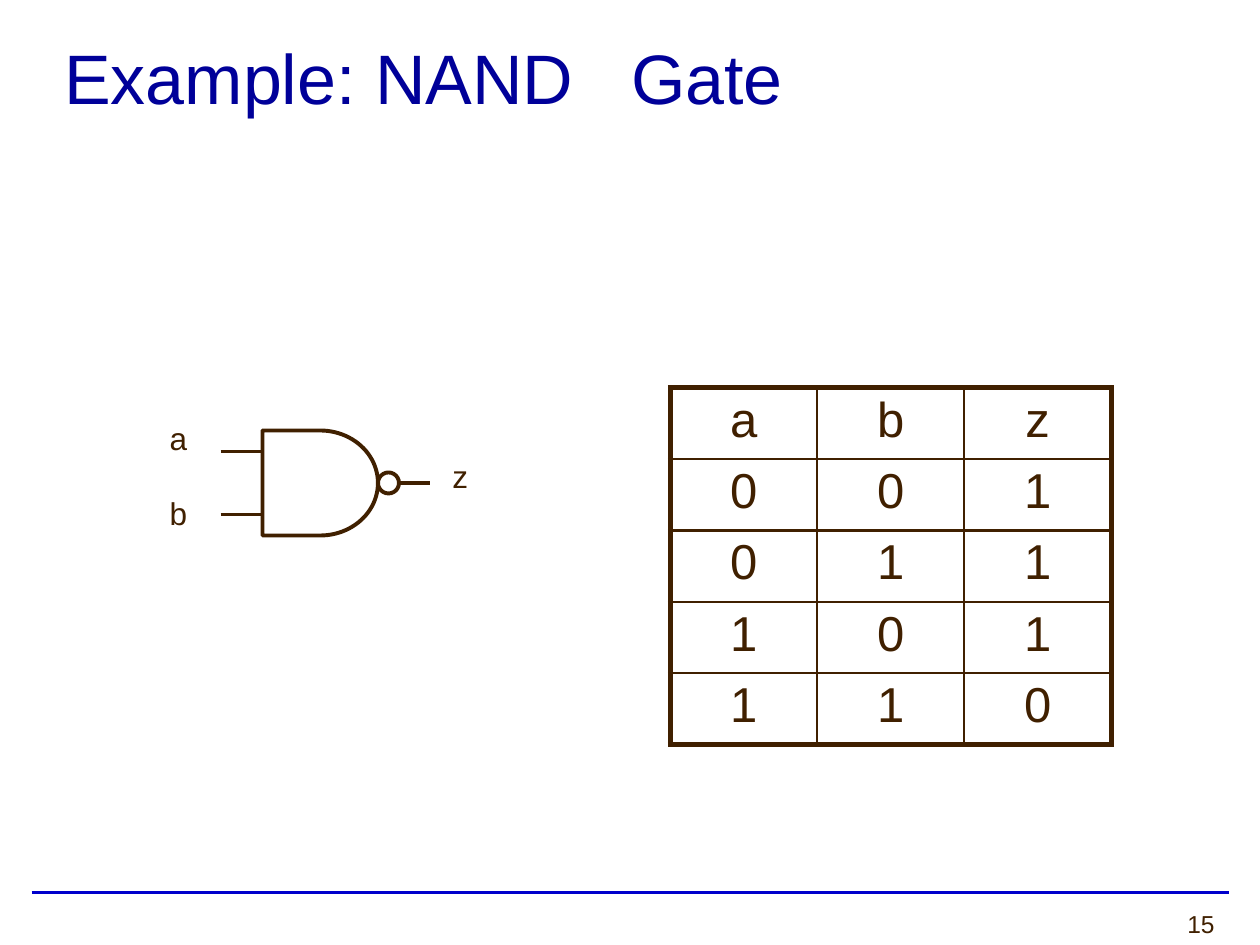
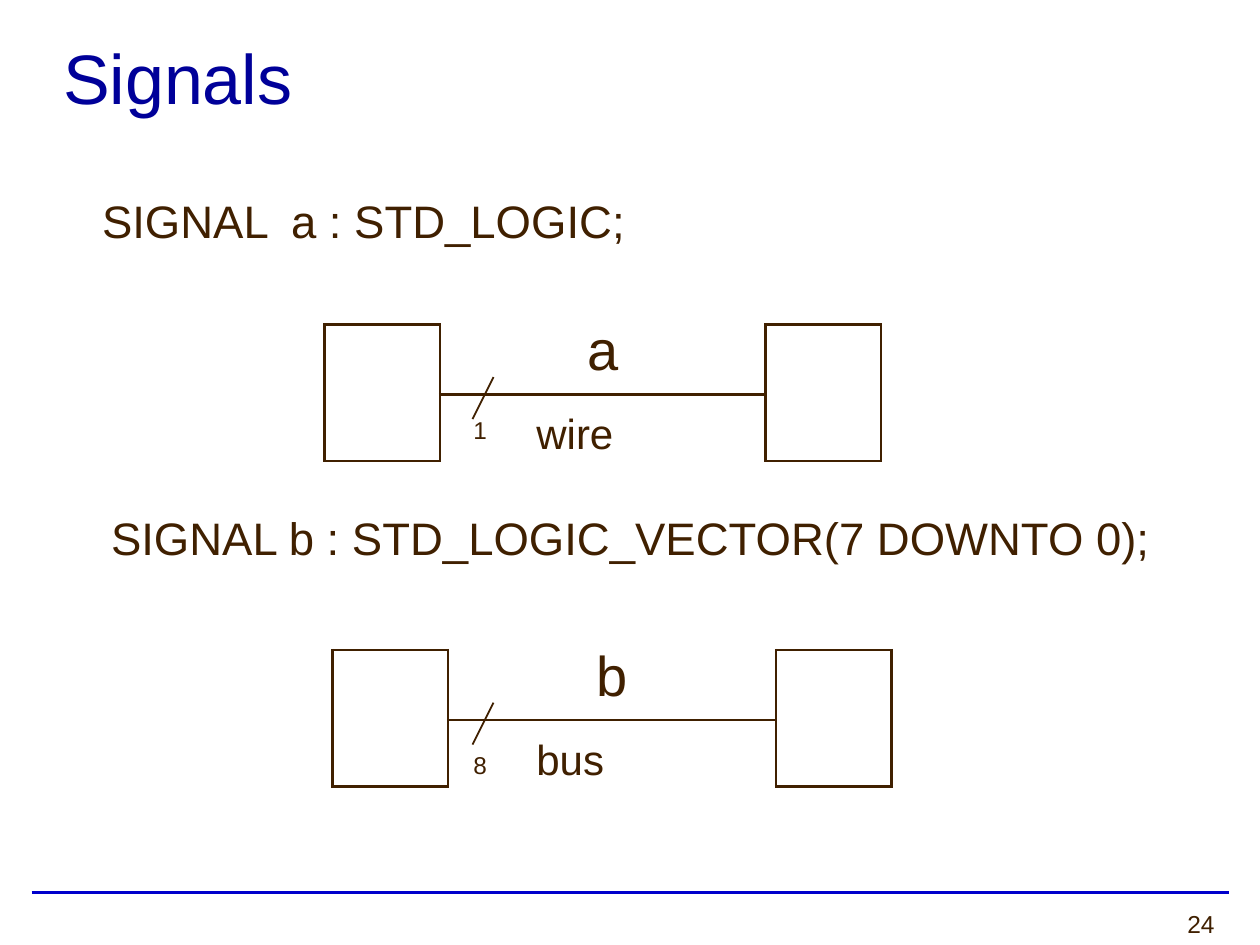
from dataclasses import dataclass

from lxml import etree
from pptx import Presentation
from pptx.dml.color import RGBColor
from pptx.enum import shapes, text
from pptx.oxml import ns
from pptx.util import Pt


@dataclass(frozen=True)
class Theme:
    font: str = "Arial"
    title_color: str = "000099"
    ink: str = "402000"
    rule_color: str = "0000CC"
    title_size: float = 40
    signal_size: float = 32
    truth_size: float = 28
    code_size: float = 26
    kind_size: float = 24
    pin_size: float = 18
    page_size: float = 14
    thick: float = 3
    stroke: float = 2.25
    thin: float = 1.5
    hair: float = 1


THEME = Theme()


# Shared helpers
def add_run(paragraph, words, size, color=THEME.ink, baseline=0):
    run = paragraph.add_run()
    run.text = words
    run.font.name = THEME.font
    run.font.size = Pt(size)
    run.font.color.rgb = RGBColor.from_string(color)
    if baseline:
        run.font._element.set("baseline", str(baseline * 1000))


def set_tab(paragraph, position, indent=0.7):
    properties = paragraph._p.get_or_add_pPr()
    properties.set("marL", str(Pt(indent)))
    properties.set("indent", "0")
    tabs = etree.SubElement(properties, ns.qn("a:tabLst"))
    etree.SubElement(tabs, ns.qn("a:tab"), pos=str(Pt(position)), algn="l")


def prepare_frame(frame, top_margin=0.7):
    frame.word_wrap = True
    frame.auto_size = text.MSO_AUTO_SIZE.NONE
    frame.vertical_anchor = text.MSO_ANCHOR.TOP
    frame.margin_left = frame.margin_right = frame.margin_bottom = 0
    frame.margin_top = Pt(top_margin)
    paragraph = frame.paragraphs[0]
    paragraph.alignment = text.PP_ALIGN.LEFT
    return paragraph


def add_label(slide, left, top, width, height, words, size, tab=None):
    box = slide.shapes.add_textbox(Pt(left), Pt(top), Pt(width), Pt(height))
    paragraph = prepare_frame(box.text_frame)
    paragraph.space_before = Pt(1)
    if tab:
        set_tab(paragraph, tab)
    add_run(paragraph, words, size)


def add_line(slide, start, end, width, color=THEME.ink):
    ends = [Pt(value) for value in (*start, *end)]
    line = slide.shapes.add_connector(shapes.MSO_CONNECTOR.STRAIGHT, *ends)
    line.line.color.rgb = RGBColor.from_string(color)
    line.line.width = Pt(width)
    etree.SubElement(line._element.spPr, ns.qn("a:effectLst"))
    return line


def add_outline(slide, kind, left, top, width, height):
    shape = slide.shapes.add_shape(kind, Pt(left), Pt(top), Pt(width), Pt(height))
    shape.shadow.inherit = False
    shape.fill.background()
    shape.line.color.rgb = RGBColor.from_string(THEME.ink)
    shape.line.width = Pt(THEME.stroke)


def add_plain_table(slide, left, top, widths, heights):
    frame = slide.shapes.add_table(len(heights), len(widths), Pt(left), Pt(top),
                                   Pt(sum(widths)), Pt(sum(heights)))
    table = frame.table
    table.first_row = table.horz_banding = False
    for column, width in zip(table.columns, widths):
        column.width = Pt(width)
    for row, height in zip(table.rows, heights):
        row.height = Pt(height)
    return table


def style_cell(cell, left, right, top, bottom, top_margin=0):
    """Border widths in points; zero means no border."""
    cell.margin_left = cell.margin_right = cell.margin_bottom = 0
    cell.margin_top = Pt(top_margin)
    properties = cell._tc.get_or_add_tcPr()
    for side, width in zip("LRTB", (left, right, top, bottom)):
        border = etree.SubElement(properties, ns.qn(f"a:ln{side}"), w=str(Pt(width)))
        if width:
            fill = etree.SubElement(border, ns.qn("a:solidFill"))
            etree.SubElement(fill, ns.qn("a:srgbClr"), val=THEME.ink)
        else:
            etree.SubElement(border, ns.qn("a:noFill"))
    cell.fill.background()
    return cell.text_frame.paragraphs[0]


# Title and page number
def add_titled_slide(presentation, layout, title, page, tab=None):
    slide = presentation.slides.add_slide(layout)
    shape = slide.shapes.title
    shape.left, shape.top, shape.width, shape.height = Pt(36), Pt(19), Pt(648), Pt(50)
    paragraph = prepare_frame(shape.text_frame)
    paragraph.space_before = Pt(1)
    if tab:
        set_tab(paragraph, tab)
    add_run(paragraph, title, THEME.title_size, THEME.title_color)
    add_label(slide, 678.5, 518.5, 30, 18, page, THEME.page_size)
    return slide


# Rule above the footer, kept in the layout
def add_footer_rule(slide, layout):
    rule = add_line(slide, (18, 510), (702, 510), THEME.stroke, THEME.rule_color)
    layout.shapes.element.append(rule._element)


# NAND gate symbol with its pins
def add_nand_gate(slide, left, top):
    body_left, body_width, body_height, bubble = left + 24, 66, 60, 12
    middle = top + body_height / 2
    bubble_left = body_left + body_width
    add_outline(slide, shapes.MSO_SHAPE.FLOWCHART_DELAY, body_left, top, body_width, body_height)
    for pin_y in (top + 12, top + 48):
        add_line(slide, (left, pin_y), (body_left, pin_y), THEME.stroke)
    add_outline(slide, shapes.MSO_SHAPE.OVAL, bubble_left, middle - bubble / 2, bubble, bubble)
    output_left = bubble_left + bubble
    add_line(slide, (output_left, middle), (output_left + 18, middle), THEME.stroke)
    for pin, x, y in (("a", -29, -7), ("b", -29, 35.5), ("z", 132.5, 14.5)):
        add_label(slide, left + x, top + y, 20, 24, pin, THEME.pin_size)


# Truth table with a heavy frame
def add_truth_table(slide, left, top, rows):
    last_row, last_column = len(rows) - 1, len(rows[0]) - 1
    table = add_plain_table(slide, left, top, [84] * len(rows[0]), [40.8] * len(rows))
    for r, row in enumerate(rows):
        for c, value in enumerate(row):
            outer = (c == 0, c == last_column, r == 0, r == last_row)
            borders = [THEME.thick if edge else THEME.thin for edge in outer]
            paragraph = style_cell(table.cell(r, c), *borders, top_margin=3)
            paragraph.alignment = text.PP_ALIGN.CENTER
            add_run(paragraph, value, THEME.truth_size)


# Two blocks joined by a signal of a given width
def add_signal_link(slide, left, top, signal, bits, kind, gap, slash, indent, tab, baseline):
    add_line(slide, (left + slash + 12, top + 30), (left + slash, top + 54), THEME.hair)
    table = add_plain_table(slide, left, top, (66, gap, 66), (40, 38))
    line = THEME.thin
    for column in (0, 2):
        for row in (0, 1):
            style_cell(table.cell(row, column), line, line, line, line)
        table.cell(0, column).merge(table.cell(1, column))

    name = style_cell(table.cell(0, 1), line, line, 0, line)
    name.alignment = text.PP_ALIGN.CENTER
    name.line_spacing = Pt(33.1)
    add_run(name, signal, THEME.signal_size)

    note = style_cell(table.cell(1, 1), line, line, line, 0, top_margin=14.4)
    note.line_spacing = Pt(22.2)
    set_tab(note, tab, indent)
    add_run(note, bits + "\t", THEME.kind_size, baseline=baseline)
    add_run(note, kind, THEME.kind_size)


def build_gate_slide(presentation, layout):
    slide = add_titled_slide(presentation, layout, "Example: NAND\tGate", "15", tab=303)
    add_footer_rule(slide, layout)
    add_nand_gate(slide, 126, 246)
    add_truth_table(slide, 383, 221.5, ("abz", "001", "011", "101", "110"))


def build_signals_slide(presentation, layout):
    slide = add_titled_slide(presentation, layout, "Signals", "24")
    add_label(slide, 57.6, 109.5, 400, 33, "SIGNAL\ta : STD_LOGIC;", THEME.code_size, tab=111)
    add_signal_link(slide, 185.5, 185.5, "a", "1", "wire", gap=186, slash=84.5,
                    indent=19, tab=73.5, baseline=24)
    add_label(slide, 63.5, 291, 640, 33, "SIGNAL b : STD_LOGIC_VECTOR(7 DOWNTO 0);",
              THEME.code_size)
    add_signal_link(slide, 190, 371.5, "b", "8", "bus", gap=187.5, slash=80,
                    indent=14.5, tab=75, baseline=3)


def main():
    presentation = Presentation()
    presentation.slide_width, presentation.slide_height = Pt(720), Pt(540)
    title_only = presentation.slide_layouts[5]
    build_gate_slide(presentation, title_only)
    build_signals_slide(presentation, title_only)
    presentation.save("out.pptx")


if __name__ == "__main__":
    main()
